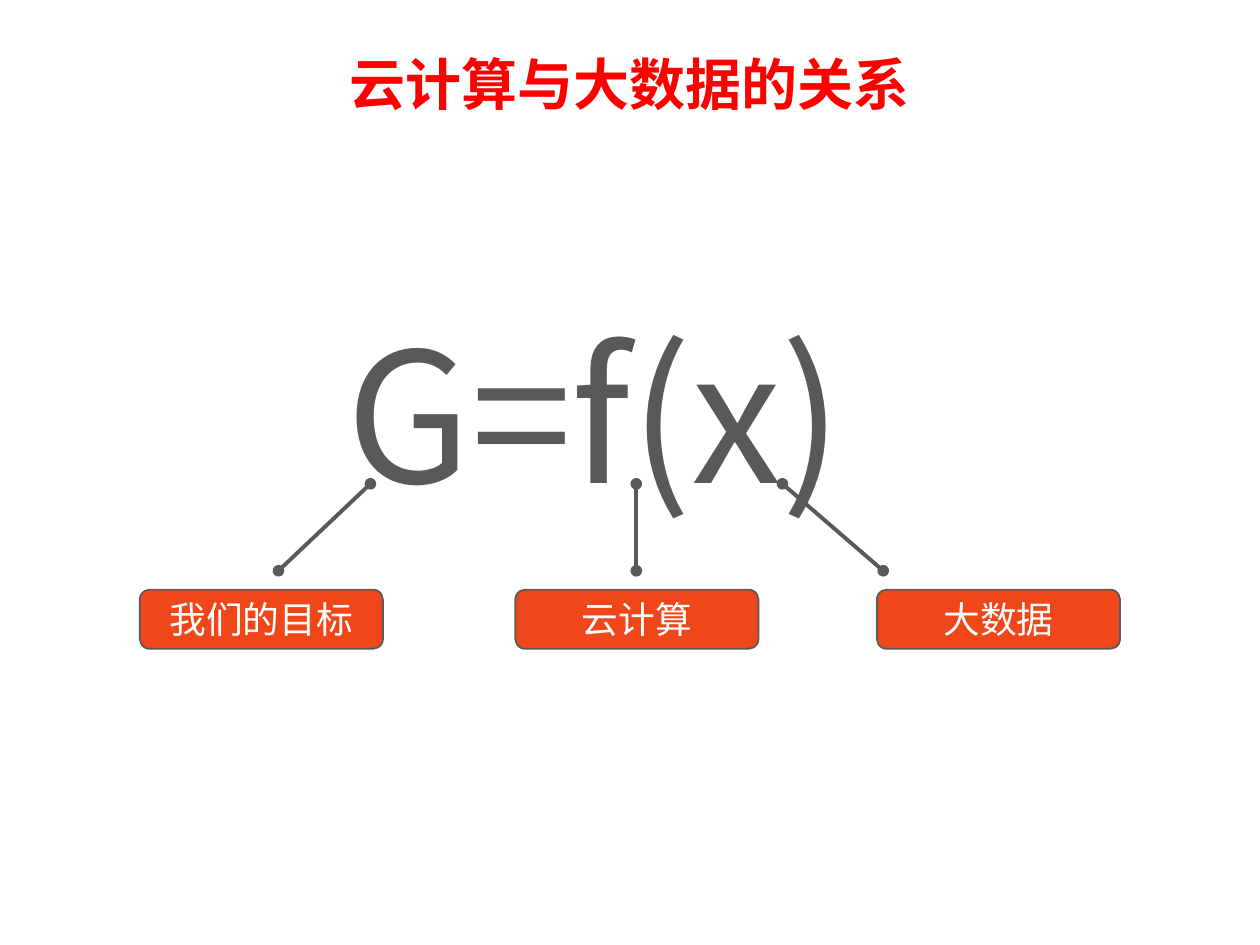
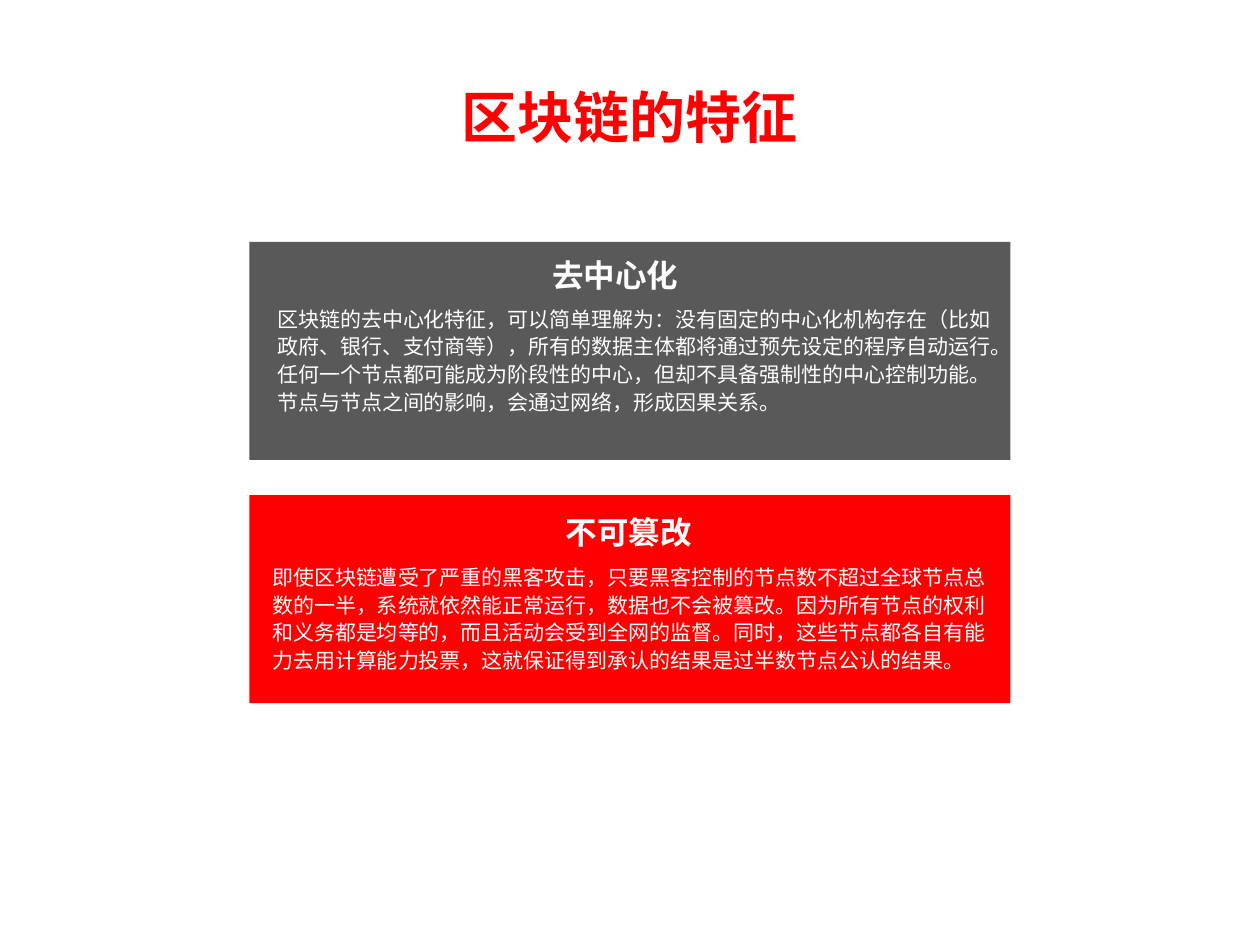
from lxml import etree
from pptx import Presentation
from pptx.dml.color import RGBColor
from pptx.enum.shapes import MSO_CONNECTOR, MSO_SHAPE
from pptx.enum.text import MSO_ANCHOR, MSO_AUTO_SIZE, PP_ALIGN
from pptx.oxml.ns import qn
from pptx.util import Inches, Pt

FONT = "Noto Sans CJK SC"
RED, ORANGE, GRAY, WHITE = "FF0000", "EF4719", "595959", "FFFFFF"
CENTER, LEFT = PP_ALIGN.CENTER, PP_ALIGN.LEFT
MIDDLE, TOP = MSO_ANCHOR.MIDDLE, MSO_ANCHOR.TOP
GROW = MSO_AUTO_SIZE.SHAPE_TO_FIT_TEXT
STRAIGHT = MSO_CONNECTOR.STRAIGHT
RECTANGLE, ROUNDED = MSO_SHAPE.RECTANGLE, MSO_SHAPE.ROUNDED_RECTANGLE
TITLE_ONLY = 5

TERMS = [
    ("我们的目标", 1.11, (2.94, 3.84), (2.21, 4.53)),
    ("云计算", 4.09, (5.05, 3.84), (5.05, 4.53)),
    ("大数据", 6.96, (6.21, 3.84), (7.01, 4.53)),
]
DECENTRALIZED = (
    "区块链的去中心化特征，可以简单理解为：没有固定的中心化机构存在（比如政府、银行、支付商等），"
    "所有的数据主体都将通过预先设定的程序自动运行。任何一个节点都可能成为阶段性的中心，"
    "但却不具备强制性的中心控制功能。节点与节点之间的影响，会通过网络，形成因果关系。"
)
TAMPER_PROOF = (
    "即使区块链遭受了严重的黑客攻击，只要黑客控制的节点数不超过全球节点总数的一半，"
    "系统就依然能正常运行，数据也不会被篡改。因为所有节点的权利和义务都是均等的，"
    "而且活动会受到全网的监督。同时，这些节点都各自有能力去用计算能力投票，"
    "这就保证得到承认的结果是过半数节点公认的结果。"
)


def color(value):
    """Turn a hex string into a colour."""
    return RGBColor.from_string(value)


def inches(*lengths):
    """Turn numbers into lengths."""
    return [Inches(length) for length in lengths]


def write(frame, text, size, fill=WHITE, bold=False, align=LEFT, anchor=TOP, spacing=None):
    """Write one formatted paragraph into a text frame."""
    frame.vertical_anchor = anchor
    para = frame.paragraphs[0]
    para.alignment = align
    para.line_spacing = spacing
    span = para.add_run()
    span.text = text
    span.font.size = Pt(size)
    span.font.bold = bold
    span.font.color.rgb = color(fill)
    span.font.name = FONT
    latin = span.font._element.find(qn("a:latin"))
    latin.addnext(latin.makeelement(qn("a:ea"), {"typeface": FONT}))


def add_page(deck, title, bottom_inset=0.05):
    """Add a slide with the shared title style."""
    page = deck.slides.add_slide(deck.slide_layouts[TITLE_ONLY])
    box = page.shapes.title
    box.left, box.top, box.width, box.height = inches(0.5, 0.3, 9, 1.25)
    box.text_frame.margin_bottom = Inches(bottom_inset)
    write(box.text_frame, title, 32, fill=RED, bold=True, align=CENTER, anchor=MIDDLE)
    return page


def add_text(page, place, text, size, wrap=True, margins=(0.07, 0.04), **style):
    """Add a text box that grows with its text."""
    frame = page.shapes.add_textbox(*inches(*place)).text_frame
    frame.word_wrap = wrap
    frame.auto_size = GROW
    frame.margin_left = frame.margin_right = Inches(margins[0])
    frame.margin_top = frame.margin_bottom = Inches(margins[1])
    write(frame, text, size, **style)


def add_block(page, kind, place, fill, outline=None):
    """Add a filled shape, outlined on request."""
    block = page.shapes.add_shape(kind, *inches(*place))
    block.shadow.inherit = False
    block.fill.solid()
    block.fill.fore_color.rgb = color(fill)
    if outline:
        block.line.color.rgb = color(outline)
        block.line.width = Pt(1)
    else:
        block.line.fill.background()
    return block


def add_pointer(page, start, end):
    """Add a line with a dot at each end."""
    pointer = page.shapes.add_connector(STRAIGHT, *inches(*start, *end))
    pointer.line.color.rgb = color(GRAY)
    pointer.line.width = Pt(2.25)
    outline = pointer.line._get_or_add_ln()
    for end_name in ("a:headEnd", "a:tailEnd"):
        etree.SubElement(outline, qn(end_name), type="oval")
    etree.SubElement(pointer._element.spPr, qn("a:effectLst"))


def add_term(page, name, left, start, end):
    """Add a labelled term and its pointer into the formula."""
    add_pointer(page, start, end)
    label = add_block(page, ROUNDED, (left, 4.68, 1.93, 0.47), ORANGE, outline=GRAY)
    write(label.text_frame, name, 21, align=CENTER, anchor=MIDDLE)


def add_feature(page, panel, fill, heading, heading_place, body, body_place):
    """Add a coloured panel with a heading and a description."""
    add_block(page, RECTANGLE, panel, fill)
    add_text(page, heading_place, heading, 18, bold=True, align=CENTER)
    add_text(page, body_place, body, 12, spacing=1.1)


def main():
    """Build and save the deck."""
    deck = Presentation()
    deck.slide_width, deck.slide_height = inches(10, 7.5)

    page = add_page(deck, "云计算与大数据的关系", bottom_inset=0.58)
    add_text(page, (2.65, 2.35, 4.57, 1.84), "G=f(x)", 103.5,
             wrap=False, margins=(0.1, 0.05), fill=GRAY)
    for term in TERMS:
        add_term(page, *term)

    page = add_page(deck, "区块链的特征")
    add_feature(page, (1.98, 1.92, 6.04, 1.73), GRAY,
                "去中心化", (2.37, 1.99, 5.03, 0.38),
                DECENTRALIZED, (2.13, 2.37, 5.86, 0.96))
    add_feature(page, (1.98, 3.93, 6.04, 1.65), RED,
                "不可篡改", (1.98, 4.03, 6.02, 0.38),
                TAMPER_PROOF, (2.09, 4.42, 5.86, 0.95))

    deck.save("out.pptx")


if __name__ == "__main__":
    main()
